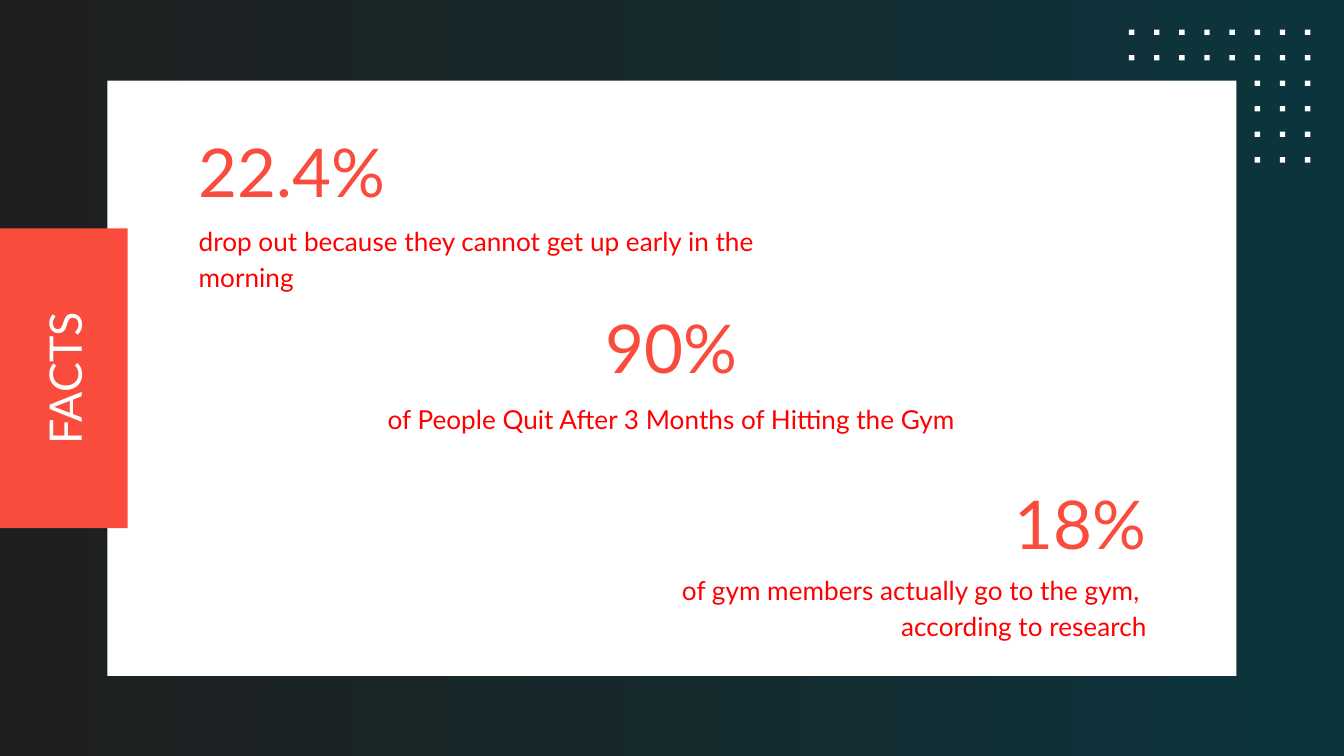
from dataclasses import dataclass

from pptx import Presentation
from pptx.dml.color import RGBColor
from pptx.enum.shapes import MSO_SHAPE
from pptx.enum.text import MSO_ANCHOR, MSO_AUTO_SIZE, PP_ALIGN
from pptx.shapes.autoshape import Shape
from pptx.slide import Slide
from pptx.util import Inches, Pt

HUES = {
    "dark": "1F1F1F",
    "teal": "0C343D",
    "white": "FFFFFF",
    "coral": "F94C3C",
    "red": "FF0000",
}
FONT = "Lato"


@dataclass
class Box:
    left: float
    top: float
    width: float
    height: float

    def emu(self) -> tuple:
        return tuple(Inches(v) for v in (self.left, self.top, self.width, self.height))


@dataclass
class Style:
    size: int
    hue: str
    align: PP_ALIGN = PP_ALIGN.LEFT
    anchor: MSO_ANCHOR = MSO_ANCHOR.TOP
    line: float = 1.0


@dataclass
class Fact:
    left: float
    top: float
    low: float
    value: str
    note: str
    align: PP_ALIGN


FACTS = [
    Fact(1.38, 0.91, 1.54, "22.4%",
         "drop out because they cannot get up early in the morning", PP_ALIGN.LEFT),
    Fact(2.55, 2.22, 2.87, "90%",
         "of People Quit After 3 Months of Hitting the Gym", PP_ALIGN.CENTER),
    Fact(3.74, 3.53, 4.14, "18%",
         "of gym members actually go to the gym, \naccording to research", PP_ALIGN.RIGHT),
]


def rgb(hue: str) -> RGBColor:
    return RGBColor.from_string(HUES[hue])


def assign(item: object, values: dict) -> None:
    for name, value in values.items():
        setattr(item, name, value)


def add_rect(slide: Slide, box: Box, hue: str, turn: int = 0) -> None:
    rect = slide.shapes.add_shape(MSO_SHAPE.RECTANGLE, *box.emu())
    rect.rotation = turn
    rect.shadow.inherit = False
    rect.fill.solid()
    rect.fill.fore_color.rgb = rgb(hue)
    rect.line.fill.background()


def set_text(shape: Shape, text: str, style: Style) -> None:
    frame = shape.text_frame
    frame.text = text
    pad = Inches(0.1)
    assign(frame, {
        "word_wrap": True,
        "auto_size": MSO_AUTO_SIZE.NONE,
        "vertical_anchor": style.anchor,
        "margin_left": pad,
        "margin_right": pad,
        "margin_top": pad,
        "margin_bottom": pad,
    })
    for para in frame.paragraphs:
        assign(para, {"alignment": style.align, "line_spacing": style.line})
        for run in para.runs:
            assign(run.font, {"name": FONT, "size": Pt(style.size)})
            run.font.color.rgb = rgb(style.hue)


def add_text(slide: Slide, box: Box, text: str, style: Style) -> None:
    set_text(slide.shapes.add_textbox(*box.emu()), text, style)


def paint_back(slide: Slide) -> None:
    fill = slide.background.fill
    fill.gradient()
    fill.gradient_angle = 0
    for stop, hue in zip(fill.gradient_stops, ("dark", "teal")):
        stop.color.rgb = rgb(hue)


def add_dots(slide: Slide) -> None:
    """Draw two full rows, then only the columns right of the card."""
    cols, rows, size = 8, 6, 0.04
    step = (9.71 - 8.4) / (cols - 1)
    for row in range(rows):
        for col in range(0 if row < 2 else 5, cols):
            box = Box(8.4 + col * step, 0.22 + row * 0.19, size, size)
            add_rect(slide, box, "white")


def add_title(slide: Slide) -> None:
    title = slide.shapes.title
    names = ("left", "top", "width", "height")
    assign(title, dict(zip(names, Box(-1.72, 2.5, 4.39, 0.63).emu())))
    title.rotation = 270
    set_text(title, "FACTS", Style(24, "white", PP_ALIGN.CENTER, MSO_ANCHOR.MIDDLE))
    # Bring the title in front of the tab
    title.element.getparent().append(title.element)


def add_fact(slide: Slide, fact: Fact) -> None:
    width = 4.89
    add_text(slide, Box(fact.left, fact.low, width, 0.43), fact.note,
             Style(14, "red", fact.align, line=1.15))
    add_text(slide, Box(fact.left, fact.top, width, 0.76), fact.value,
             Style(36, "coral", fact.align, MSO_ANCHOR.BOTTOM))


def main() -> None:
    deck = Presentation()
    # Widescreen, 16 to 9
    assign(deck, {"slide_width": Inches(10), "slide_height": Inches(10 * 9 / 16)})
    slide = deck.slides.add_slide(deck.slide_layouts[5])
    paint_back(slide)
    add_dots(slide)
    add_rect(slide, Box(0.8, 0.6, 8.4, 4.43), "white")
    add_rect(slide, Box(-0.64, 2.34, 2.23, 0.95), "coral", 90)
    add_title(slide)
    for fact in FACTS:
        add_fact(slide, fact)
    deck.save("out.pptx")


if __name__ == "__main__":
    main()
